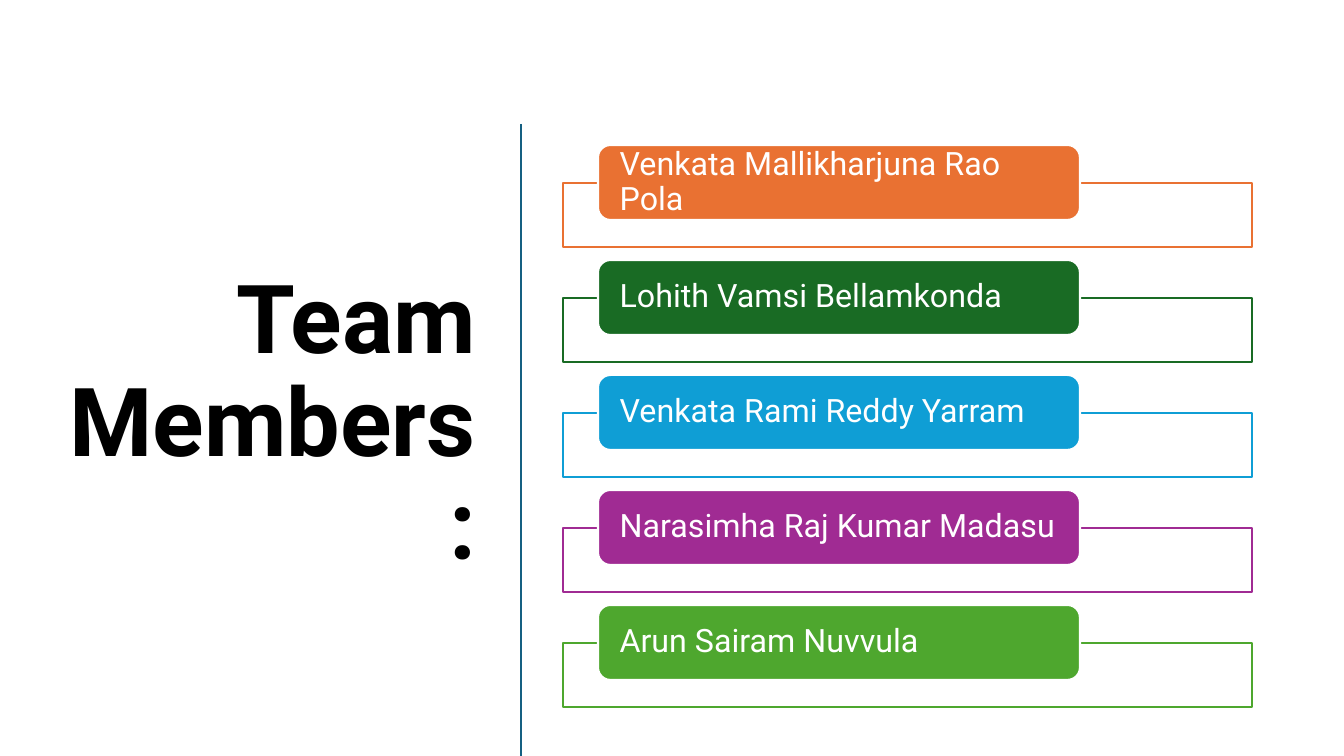
from lxml.etree import SubElement
from pptx import Presentation
from pptx.dml.color import RGBColor
from pptx.enum.shapes import MSO_CONNECTOR, MSO_SHAPE
from pptx.enum.text import MSO_ANCHOR, MSO_AUTO_SIZE, PP_ALIGN
from pptx.oxml.ns import qn
from pptx.util import Emu, Pt

SLIDE_WIDTH, SLIDE_HEIGHT = 1344, 756
EMU_PER_PX = 12192000 / SLIDE_WIDTH

BLACK = RGBColor(0x00, 0x00, 0x00)
WHITE = RGBColor(0xFF, 0xFF, 0xFF)
TEAL = RGBColor(0x15, 0x60, 0x82)
ORANGE = RGBColor(0xE9, 0x71, 0x32)
DARK_GREEN = RGBColor(0x19, 0x6B, 0x24)
BLUE = RGBColor(0x0F, 0x9E, 0xD5)
PURPLE = RGBColor(0xA0, 0x2B, 0x93)
GREEN = RGBColor(0x4E, 0xA7, 0x2E)

MEMBERS = [
    ("Venkata Mallikharjuna Rao Pola", ORANGE),
    ("Lohith Vamsi Bellamkonda", DARK_GREEN),
    ("Venkata Rami Reddy Yarram", BLUE),
    ("Narasimha Raj Kumar Madasu", PURPLE),
    ("Arun Sairam Nuvvula", GREEN),
]
FIRST_TOP, MEMBER_PITCH = 145, 115


def px(length):
    return Emu(round(length * EMU_PER_PX))


def write_text(shape, text, *, size, color, font="Roboto", bold=False,
               align=PP_ALIGN.LEFT, margins=(10, 5)):
    """Fill a shape with one vertically centred paragraph; margins are side, top."""
    frame = shape.text_frame
    frame.text = text
    frame.word_wrap = True
    frame.auto_size = MSO_AUTO_SIZE.NONE
    frame.vertical_anchor = MSO_ANCHOR.MIDDLE
    frame.margin_left = frame.margin_right = px(margins[0])
    frame.margin_top = frame.margin_bottom = px(margins[1])
    paragraph = frame.paragraphs[0]
    paragraph.alignment = align
    paragraph.line_spacing = 0.9
    run_font = paragraph.runs[0].font
    run_font.name, run_font.size, run_font.bold = font, Pt(size), bold
    run_font.color.rgb = color


class TeamSlide:
    line_width = Pt(1.5)
    name_size = 23
    title_size = 68

    def __init__(self, presentation):
        self.slide = presentation.slides.add_slide(presentation.slide_layouts[5])

    def title(self, text, left, top, width, height):
        title = self.slide.shapes.title
        title.left, title.top = px(left), px(top)
        title.width, title.height = px(width), px(height)
        write_text(title, text, size=self.title_size, color=BLACK, bold=True,
                   align=PP_ALIGN.RIGHT)

    def divider(self, x, top, bottom):
        line = self.slide.shapes.add_connector(
            MSO_CONNECTOR.STRAIGHT, px(x), px(top), px(x), px(bottom))
        line.line.color.rgb = TEAL
        line.line.width = Pt(2)
        SubElement(line.element.spPr, qn("a:effectLst"))

    def box(self, kind, left, top, width, height, fill, outline):
        shape = self.slide.shapes.add_shape(
            kind, px(left), px(top), px(width), px(height))
        shape.shadow.inherit = False
        shape.fill.solid()
        shape.fill.fore_color.rgb = fill
        shape.line.color.rgb = outline
        shape.line.width = self.line_width
        return shape

    def member(self, name, color, top):
        """Draw an outlined frame with a coloured name label over its top edge."""
        frame = self.box(MSO_SHAPE.RECTANGLE, 563, top + 38, 689, 64, WHITE, color)
        solid_color = frame.fill._xPr.find(qn("a:solidFill"))[0]
        SubElement(solid_color, qn("a:alpha"), val="90000")
        label = self.box(MSO_SHAPE.ROUNDED_RECTANGLE, 598, top, 482, 75, color, WHITE)
        write_text(label, name, size=self.name_size, color=WHITE, margins=(18, 0))


def main():
    presentation = Presentation()
    presentation.slide_width = px(SLIDE_WIDTH)
    presentation.slide_height = px(SLIDE_HEIGHT)
    team = TeamSlide(presentation)
    team.title("Team Members:", 52, 118, 434, 616)
    team.divider(521, 124, SLIDE_HEIGHT)
    for index, (name, color) in enumerate(MEMBERS):
        team.member(name, color, FIRST_TOP + index * MEMBER_PITCH)
    presentation.save("out.pptx")


if __name__ == "__main__":
    main()
